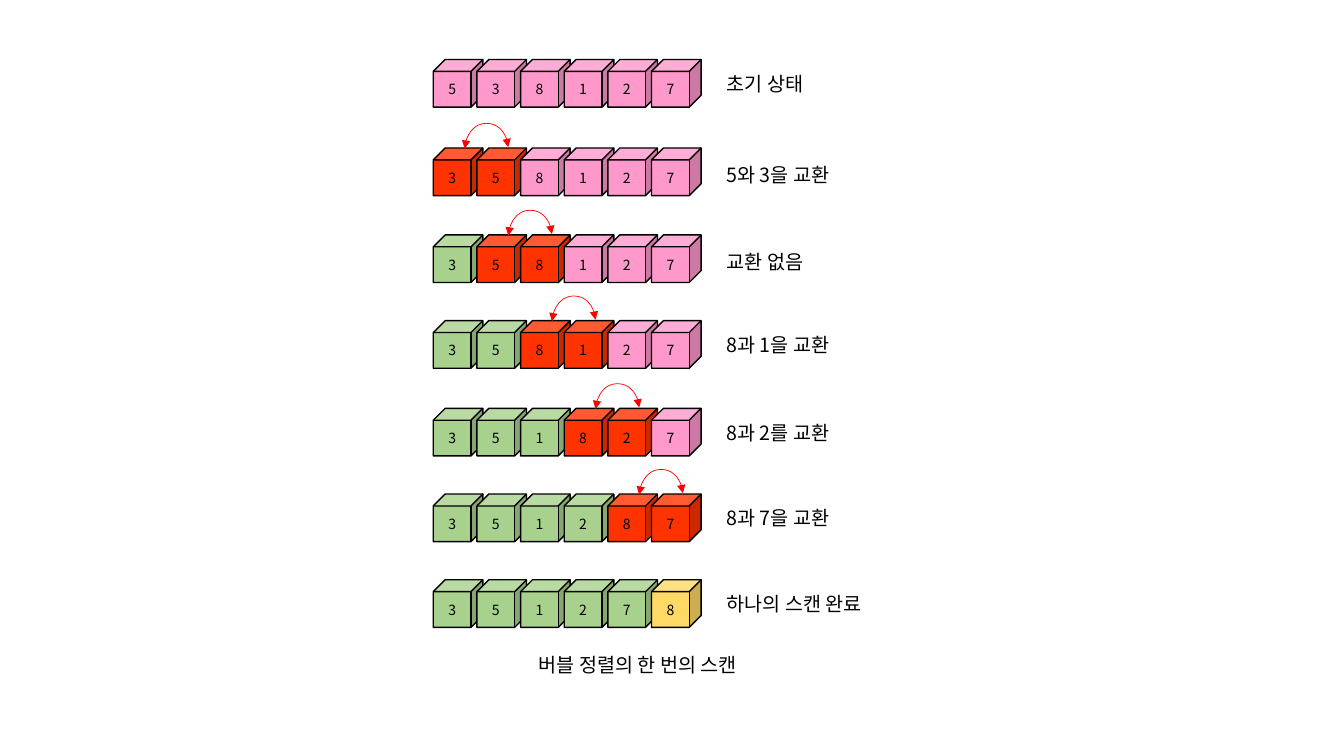
"""Draw one scan of bubble sort as rows of numbered cubes."""
from typing import NamedTuple

from lxml import etree
from pptx import Presentation
from pptx import util as u
from pptx.dml.color import RGBColor
from pptx.enum import shapes, text
from pptx.oxml.ns import qn

BLACK = RGBColor(0x00, 0x00, 0x00)
RED = RGBColor(0xFF, 0x00, 0x00)
PINK = RGBColor(0xFF, 0x99, 0xCC)
ORANGE = RGBColor(0xFF, 0x33, 0x00)
GREEN = RGBColor(0xA9, 0xD1, 0x8E)
GOLD = RGBColor(0xFF, 0xD9, 0x66)
STATE_FILLS = {"W": PINK, "C": ORANGE, "D": GREEN, "F": GOLD}

FONT = "Noto Sans CJK KR"
CUBES_LEFT, PITCH = u.Cm(10.92), u.Cm(1.1)
CUBE_W, CUBE_H = u.Cm(1.25), u.Cm(1.2)
LABEL_LEFT, LABEL_W, LABEL_H = u.Cm(18.06), u.Cm(5.72), u.Cm(0.86)
ARC_INSET, ARC_DROP, ARC_RISE = u.Cm(0.79), u.Cm(0.04), u.Cm(0.64)


class Step(NamedTuple):
    """Values, states (waiting, compared, done, final) and label of a row."""
    top: float
    values: str
    states: str
    label: str
    label_drop: float = 0.18


STEPS = [
    Step(1.5, "538127", "WWWWWW", "초기 상태"),
    Step(3.73, "358127", "CCWWWW", "5와 3을 교환", 0.25),
    Step(5.92, "358127", "DCCWWW", "교환 없음", 0.25),
    Step(8.08, "358127", "DDCCWW", "8과 1을 교환"),
    Step(10.29, "351827", "DDDCCW", "8과 2를 교환"),
    Step(12.45, "351287", "DDDDCC", "8과 7을 교환"),
    Step(14.61, "351278", "DDDDDF", "하나의 스캔 완료"),
]


def write(tf, words: str, *, size: int = 14, align=text.PP_ALIGN.LEFT) -> None:
    """Put one formatted paragraph into a text frame."""
    p = tf.paragraphs[0]
    p.alignment = align
    r = p.add_run()
    r.text = words
    r.font.size, r.font.name = u.Pt(size), FONT
    r.font.color.rgb = BLACK
    etree.SubElement(r.font._element, qn("a:ea"), typeface=FONT)


def add_label(sp_tree, words: str, left: int, top: int, width: int,
              align=text.PP_ALIGN.LEFT) -> None:
    """Add a wrapped text box that grows with its text."""
    tf = sp_tree.add_textbox(left, top, width, LABEL_H).text_frame
    tf.word_wrap = True
    tf.auto_size = text.MSO_AUTO_SIZE.SHAPE_TO_FIT_TEXT
    write(tf, words, align=align)


def add_cube(sp_tree, value: str, fill: RGBColor, left: int, top: int) -> None:
    """Add a cube with its number on the front."""
    sp = sp_tree.add_shape(shapes.MSO_SHAPE.CUBE, left, top, CUBE_W, CUBE_H)
    sp.shadow.inherit = False
    sp.fill.solid()
    sp.fill.fore_color.rgb = fill
    sp.line.color.rgb, sp.line.width = BLACK, u.Pt(1)
    tf = sp.text_frame
    tf.margin_left = tf.margin_right = tf.margin_top = tf.margin_bottom = 0
    tf.vertical_anchor = text.MSO_ANCHOR.MIDDLE
    write(tf, value, size=10, align=text.PP_ALIGN.CENTER)


def add_swap_arc(sp_tree, left: int, middle: int) -> None:
    """Add a double-headed arc, a tall curve turned a quarter, over two cubes."""
    center = left + PITCH // 2
    arc = sp_tree.add_connector(
        shapes.MSO_CONNECTOR.CURVE, center + ARC_DROP // 2, middle + PITCH // 2,
        center - ARC_DROP // 2, middle - PITCH // 2)
    arc.line.color.rgb, arc.line.width = RED, u.Pt(0.5)
    props = arc._element.spPr
    props.find(qn("a:xfrm")).set("rot", "5400000")
    guides = props.find(qn("a:prstGeom")).get_or_add_avLst()
    bend = round(ARC_RISE / ARC_DROP * 100000)
    etree.SubElement(guides, qn("a:gd"), name="adj1", fmla=f"val {bend}")
    ln = arc.line._get_or_add_ln()
    for end in ("a:headEnd", "a:tailEnd"):
        etree.SubElement(ln, qn(end), type="triangle")
    etree.SubElement(props, qn("a:effectLst"))


def add_step(sp_tree, step: Step) -> None:
    """Add a row of cubes, its label and the arc over the compared pair."""
    top = u.Cm(step.top)
    for i, (value, state) in enumerate(zip(step.values, step.states)):
        add_cube(sp_tree, value, STATE_FILLS[state], CUBES_LEFT + i * PITCH, top)
    if "C" in step.states:
        first = CUBES_LEFT + step.states.index("C") * PITCH
        add_swap_arc(sp_tree, first + ARC_INSET, top)
    add_label(sp_tree, step.label, LABEL_LEFT, top + u.Cm(step.label_drop), LABEL_W)


def main() -> None:
    """Build and save the slide."""
    prs = Presentation()
    prs.slide_width, prs.slide_height = u.Cm(33.87), u.Cm(19.05)
    s = prs.slides.add_slide(prs.slide_layouts[6])
    for step in STEPS:
        add_step(s.shapes, step)
    add_label(s.shapes, "버블 정렬의 한 번의 스캔", u.Cm(6.86), u.Cm(16.33),
              u.Cm(18.44), text.PP_ALIGN.CENTER)
    prs.save("out.pptx")


main()
